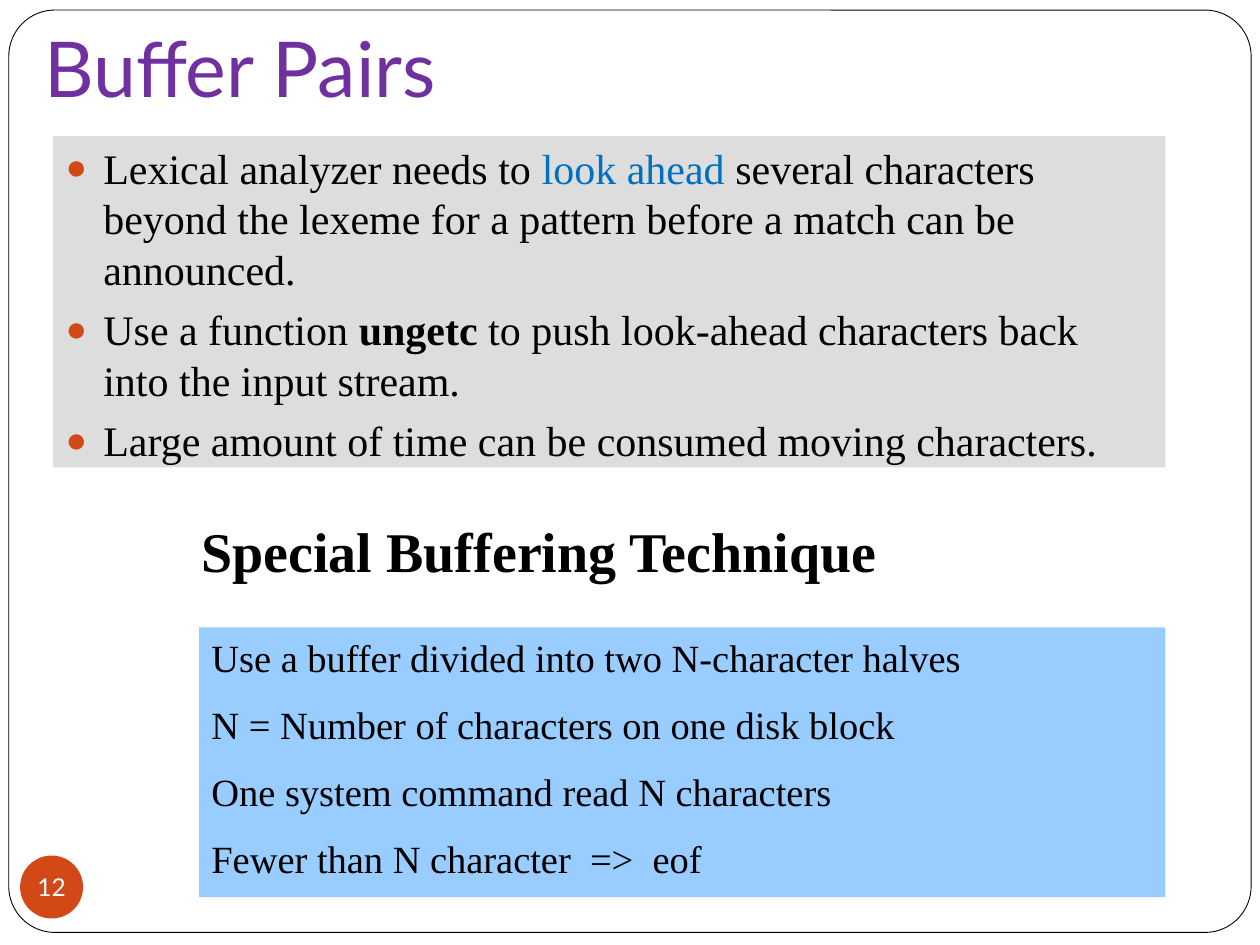
from lxml import etree
from pptx import Presentation
from pptx.dml.color import RGBColor
from pptx.enum.shapes import MSO_SHAPE
from pptx.enum.text import MSO_ANCHOR, MSO_AUTO_SIZE, PP_ALIGN
from pptx.oxml.ns import qn
from pptx.util import Inches, Pt

BLACK = RGBColor(0x00, 0x00, 0x00)
WHITE = RGBColor(0xFF, 0xFF, 0xFF)
PURPLE = RGBColor(0x70, 0x30, 0xA0)
ORANGE = RGBColor(0xD3, 0x48, 0x17)
BLUE = RGBColor(0x00, 0x70, 0xC0)
GRAY = RGBColor(0xDD, 0xDD, 0xDD)
LIGHT_BLUE = RGBColor(0x99, 0xCC, 0xFF)

HEADING_FONT = "Lato"
BODY_FONT = "Times New Roman"

NEEDS = [
    [
        ("Lexical analyzer needs to ", {}),
        ("look ahead ", {"color": BLUE}),
        ("several characters beyond the lexeme for a pattern before a match can be announced.", {}),
    ],
    [
        ("Use a function ", {}),
        ("ungetc", {"bold": True}),
        (" to push look-ahead characters back into the input stream.", {}),
    ],
    [("Large amount of time can be consumed moving characters.", {})],
]
TECHNIQUE = [
    "Use a buffer divided into two N-character halves",
    "N = Number of characters on one disk block",
    "One system command read N characters",
    "Fewer than N character  =>  eof",
]


class SlideBuilder:
    def __init__(self, slide):
        self.slide = slide

    def place(self, element, box):
        element.left, element.top, element.width, element.height = map(Inches, box)

    def style(self, paragraph, font_name, size, color, bold=False):
        font = paragraph.font
        font.name, font.size, font.bold = font_name, Pt(size), bold
        font.color.rgb = color

    def shape(self, kind, box, fill):
        shape = self.slide.shapes.add_shape(kind, *map(Inches, box))
        shape.shadow.inherit = False
        shape.fill.solid()
        shape.fill.fore_color.rgb = fill
        shape.line.fill.background()
        return shape

    def frame(self, box):
        frame = self.shape(MSO_SHAPE.ROUNDED_RECTANGLE, box, WHITE)
        frame.adjustments[0] = 0.05
        frame.line.color.rgb = BLACK
        frame.line.width = Pt(0.5)
        self.slide.shapes.element.insert(2, frame.element)

    def title(self, text, box):
        title = self.slide.shapes.title
        self.place(title, box)
        title.text_frame.text = text
        title.text_frame.vertical_anchor = MSO_ANCHOR.BOTTOM
        title.text_frame.margin_bottom = Inches(0.1)
        heading = title.text_frame.paragraphs[0]
        heading.alignment = PP_ALIGN.LEFT
        self.style(heading, HEADING_FONT, 44, PURPLE)

    def bullet(self, paragraph):
        properties = paragraph._p.get_or_add_pPr()
        properties.set("marL", str(Inches(0.3)))
        properties.set("indent", str(-Inches(0.3)))
        color = etree.SubElement(properties, qn("a:buClr"))
        etree.SubElement(color, qn("a:srgbClr"), val=str(ORANGE))
        etree.SubElement(properties, qn("a:buSzPct"), val="85000")
        etree.SubElement(properties, qn("a:buChar"), char="●")

    def bullets(self, items, box):
        body = self.slide.placeholders[1]
        self.place(body, box)
        body.fill.solid()
        body.fill.fore_color.rgb = GRAY
        body.text_frame.auto_size = MSO_AUTO_SIZE.NONE
        for index, parts in enumerate(items):
            paragraph = body.text_frame.add_paragraph() if index else body.text_frame.paragraphs[0]
            self.bullet(paragraph)
            paragraph.space_before = Pt(5.8 if index else 0)
            self.style(paragraph, BODY_FONT, 24, BLACK)
            for text, look in parts:
                run = paragraph.add_run()
                run.text = text
                if "color" in look:
                    run.font.color.rgb = look["color"]
                if "bold" in look:
                    run.font.bold = look["bold"]

    def text(self, lines, box, size, bold=False, fill=None):
        textbox = self.slide.shapes.add_textbox(*map(Inches, box))
        if fill is not None:
            textbox.fill.solid()
            textbox.fill.fore_color.rgb = fill
        textbox.text_frame.word_wrap = True
        textbox.text_frame.text = "\n".join(lines)
        for index, paragraph in enumerate(textbox.text_frame.paragraphs):
            paragraph.space_before = Pt(12 if index else 0)
            self.style(paragraph, BODY_FONT, size, BLACK, bold)

    def page_number(self, number, box):
        badge = self.shape(MSO_SHAPE.OVAL, box, ORANGE)
        label = badge.text_frame
        label.margin_left = label.margin_right = label.margin_top = label.margin_bottom = 0
        label.word_wrap = False
        label.vertical_anchor = MSO_ANCHOR.MIDDLE
        label.text = number
        label.paragraphs[0].alignment = PP_ALIGN.CENTER
        self.style(label.paragraphs[0], HEADING_FONT, 14, WHITE)


def main():
    presentation = Presentation()
    presentation.slide_width, presentation.slide_height = Inches(10), Inches(7.5)
    builder = SlideBuilder(presentation.slides.add_slide(presentation.slide_layouts[1]))
    builder.frame((0.07, 0.08, 9.86, 7.32))
    builder.title("Buffer Pairs", (0.25, 0, 8.33, 1))
    builder.page_number("12", (0.16, 6.79, 0.5, 0.5))
    builder.bullets(NEEDS, (0.42, 1.08, 8.83, 2.63))
    builder.text(["Special Buffering Technique"], (1.5, 4.05, 6.42, 0.63), 32, bold=True)
    builder.text(TECHNIQUE, (1.58, 4.98, 7.67, 2.14), 22, fill=LIGHT_BLUE)
    presentation.save("out.pptx")


if __name__ == "__main__":
    main()
